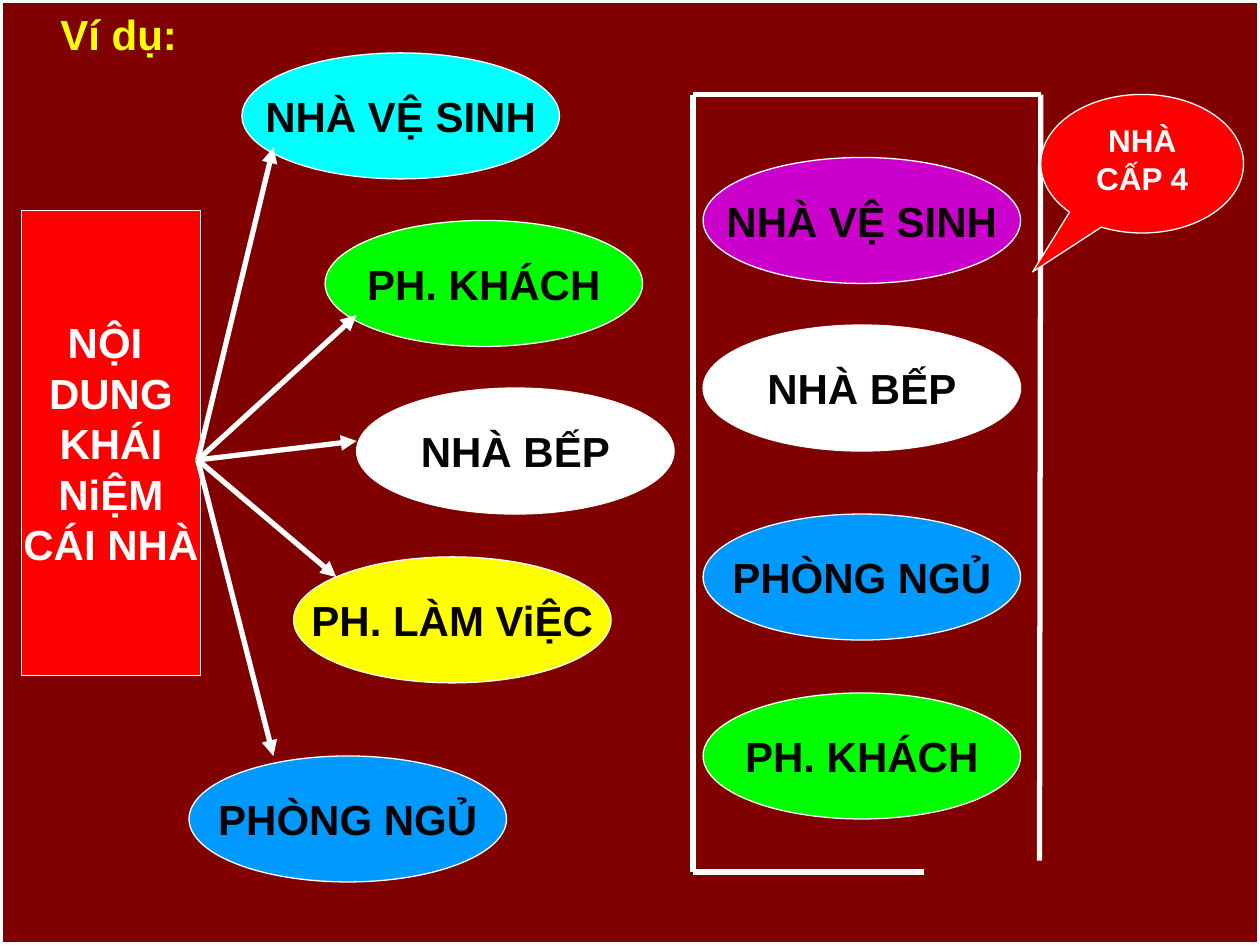
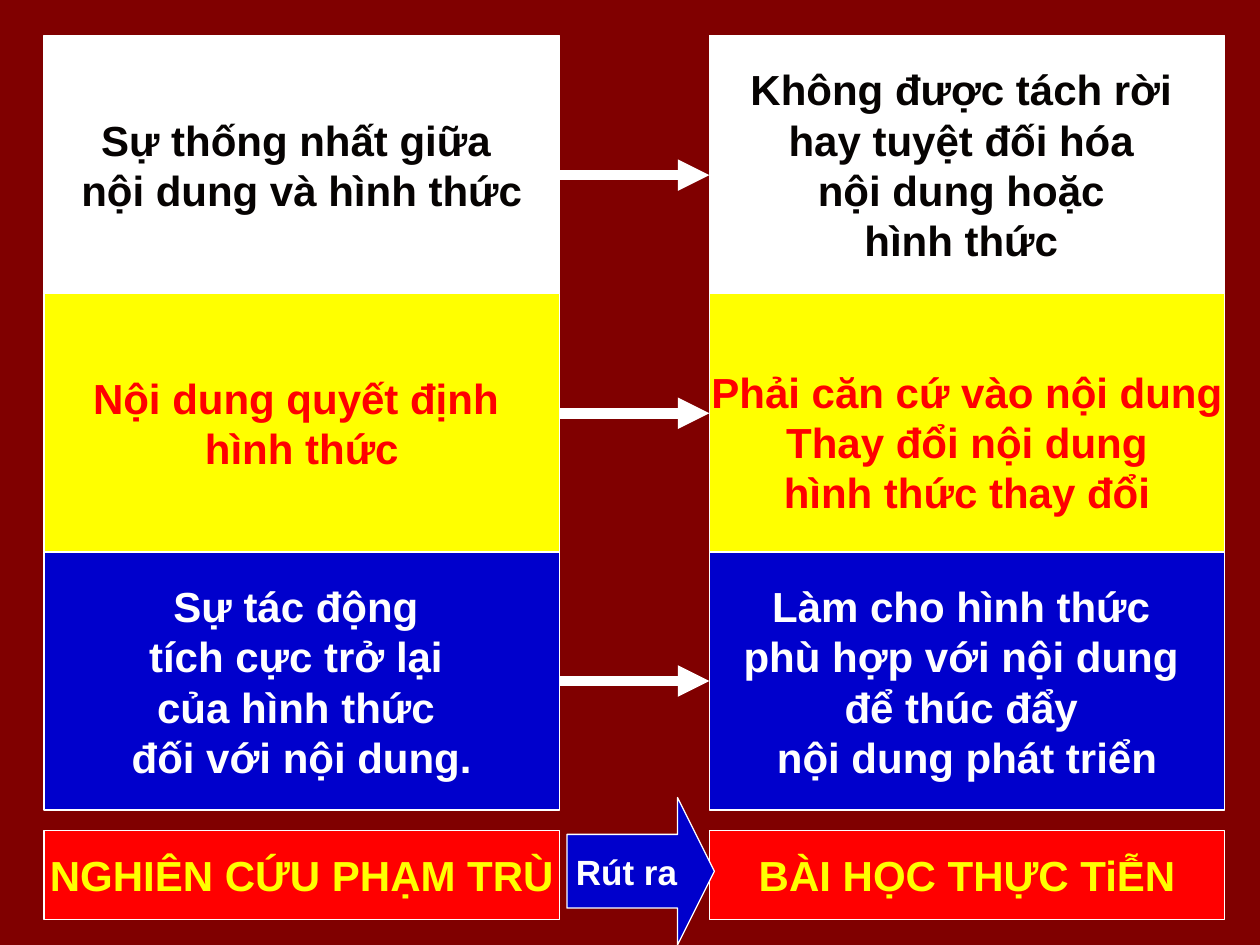
from dataclasses import dataclass

from lxml import etree
from pptx import Presentation
from pptx import util as u
from pptx.dml.color import RGBColor
from pptx.enum import shapes, text
from pptx.oxml.ns import qn

KIND = shapes.MSO_SHAPE
ANCHOR = text.MSO_ANCHOR
ALIGN = text.PP_ALIGN


@dataclass(frozen=True)
class Theme:
    font: str = "Arial"
    ground: str = "800000"
    white: str = "FFFFFF"
    ink: str = "060302"
    red: str = "FF0000"
    yellow: str = "FFFF00"
    green: str = "00FF00"
    cyan: str = "00FFFF"
    sky: str = "0099FF"
    navy: str = "0000CC"
    purple: str = "CC00CC"
    large: int = 24
    medium: int = 20
    small: int = 18
    thin: float = 0.75
    thick: float = 3
    heavy: float = 6


class Deck:
    def __init__(self, theme):
        self.theme = theme
        self.file = Presentation()
        self.file.slide_width = u.Inches(10)
        self.file.slide_height = u.Inches(7.5)
        self.slide = None

    def start(self):
        self.slide = self.file.slides.add_slide(self.file.slide_layouts[6])
        fill = self.slide.background.fill
        fill.solid()
        fill.fore_color.rgb = RGBColor.from_string(self.theme.ground)

    def shape(self, kind, place, fill, width=None):
        item = self.slide.shapes.add_shape(kind, *map(u.Inches, place))
        item.shadow.inherit = False
        if fill:
            item.fill.solid()
            item.fill.fore_color.rgb = RGBColor.from_string(fill)
        else:
            item.fill.background()
        self.stroke(item, width or self.theme.thin)
        return item

    def stroke(self, item, width):
        item.line.color.rgb = RGBColor.from_string(self.theme.white)
        item.line.width = u.Pt(width)

    def label(self, item, words, color, size=None, wrap=False,
              anchor=ANCHOR.MIDDLE, align=ALIGN.CENTER):
        frame = item.text_frame
        frame.text = words
        frame.word_wrap = wrap
        frame.vertical_anchor = anchor
        for line in frame.paragraphs:
            line.alignment = align
            for run in line.runs:
                run.font.name = self.theme.font
                run.font.size = u.Pt(size or self.theme.large)
                run.font.bold = True
                run.font.color.rgb = RGBColor.from_string(color)

    def title(self, words):
        frame = self.shape(KIND.RECTANGLE, (0, 0, 10, 7.5), None, self.theme.thick)
        frame.text_frame.margin_left = u.Inches(0.48)
        frame.text_frame.margin_top = u.Inches(0.07)
        self.label(frame, words, self.theme.yellow, wrap=True,
                   anchor=ANCHOR.TOP, align=ALIGN.LEFT)

    def box(self, place, words, fill, color, drop=0):
        item = self.shape(KIND.RECTANGLE, place, fill)
        item.text_frame.margin_top = u.Inches(0.05 + drop)
        self.label(item, words, color)
        return item

    def room(self, left, top, words, fill):
        item = self.shape(KIND.OVAL, (left, top, 2.52, 1), fill)
        self.label(item, words, self.theme.ink)

    def bubble(self, place, words):
        item = self.shape(KIND.OVAL_CALLOUT, place, self.theme.red)
        item.adjustments[0] = -0.54
        item.adjustments[1] = 0.78
        self.label(item, words, self.theme.white, self.theme.small,
                   wrap=True, anchor=ANCHOR.TOP)

    def block(self, place, words):
        item = self.shape(KIND.RIGHT_ARROW, place, self.theme.navy)
        item.adjustments[0] = 0.5
        item.adjustments[1] = 0.25
        self.label(item, words, self.theme.white, self.theme.medium)

    def line(self, start, end, width=None, arrow=False):
        item = self.slide.shapes.add_connector(
            shapes.MSO_CONNECTOR.STRAIGHT, *map(u.Inches, (*start, *end)))
        self.stroke(item, width or self.theme.thick)
        props = item._element.spPr
        if arrow:
            etree.SubElement(props.find(qn("a:ln")), qn("a:tailEnd"), type="triangle")
        etree.SubElement(props, qn("a:effectLst"))
        return item


def draw_house(deck):
    t = deck.theme
    deck.start()
    deck.title("Ví dụ:")
    deck.box((0.17, 1.67, 1.42, 3.69), "NỘI \nDUNG\nKHÁI\nNiỆM\nCÁI NHÀ", t.red, t.white)

    bath, guest, cook = "NHÀ VỆ SINH", "PH. KHÁCH", "NHÀ BẾP"
    work, sleep = "PH. LÀM ViỆC", "PHÒNG NGỦ"
    parts = (
        (1.92, 0.42, bath, t.cyan),
        (2.58, 1.75, guest, t.green),
        (2.83, 3.08, cook, t.white),
        (2.33, 4.42, work, t.yellow),
        (1.5, 6, sleep, t.sky),
    )
    for part in parts:
        deck.room(*part)
    order = (
        (1.25, bath, t.purple),
        (2.58, cook, t.white),
        (4.08, sleep, t.sky),
        (5.5, guest, t.green),
    )
    for part in order:
        deck.room(5.58, *part)

    deck.line((5.5, 0.75), (5.5, 6.92))
    deck.line((5.5, 0.75), (8.26, 0.75))
    deck.line((8.26, 0.75), (8.25, 6.83))
    deck.line((5.5, 6.92), (7.33, 6.92))
    deck.bubble((8.26, 0.75, 1.61, 1.1), "NHÀ CẤP 4")
    for tip in ((2.17, 1.17), (2.83, 2.5), (2.83, 3.5), (2.67, 4.58), (2.17, 6)):
        deck.line((1.57, 3.65), tip, arrow=True)


def draw_lesson(deck):
    t = deck.theme
    left, right, wide, top, tall = 0.35, 5.63, 4.09, 0.28, 2.05
    deck.start()
    for side, words in ((left, "NGHIÊN CỨU PHẠM TRÙ"), (right, "BÀI HỌC THỰC TiỄN")):
        deck.box((side, 6.59, wide, 0.71), words, t.red, t.yellow)

    rows = (
        ("Sự thống nhất giữa \nnội dung và hình thức",
         "Không được tách rời \nhay tuyệt đối hóa \nnội dung hoặc \nhình thức ",
         t.white, t.ink, 0, 1.39),
        ("Nội dung quyết định \nhình thức",
         "Phải căn cứ vào nội dung\nThay đổi nội dung\nhình thức thay đổi",
         t.yellow, t.red, 0.3, 3.28),
        ("Sự tác động \ntích cực trở lại \ncủa hình thức \nđối với nội dung.",
         "Làm cho hình thức \nphù hợp với nội dung \nđể thúc đẩy \nnội dung phát triển",
         t.navy, t.white, 0, 5.4),
    )
    for i, (cause, rule, fill, color, drop, level) in enumerate(rows):
        y = top + i * tall
        first = deck.box((left, y, wide, tall), cause, fill, color)
        last = deck.box((right, y, wide, tall), rule, fill, color, drop)
        link = deck.line((left + wide, level), (right, level), t.heavy, arrow=True)
        if abs(y + tall / 2 - level) < 0.02:
            link.begin_connect(first, 3)
            link.end_connect(last, 1)
    deck.block((4.5, 6.33, 1.17, 1.17), "Rút ra ")


def main():
    deck = Deck(Theme())
    draw_house(deck)
    draw_lesson(deck)
    deck.file.save("out.pptx")


if __name__ == "__main__":
    main()
